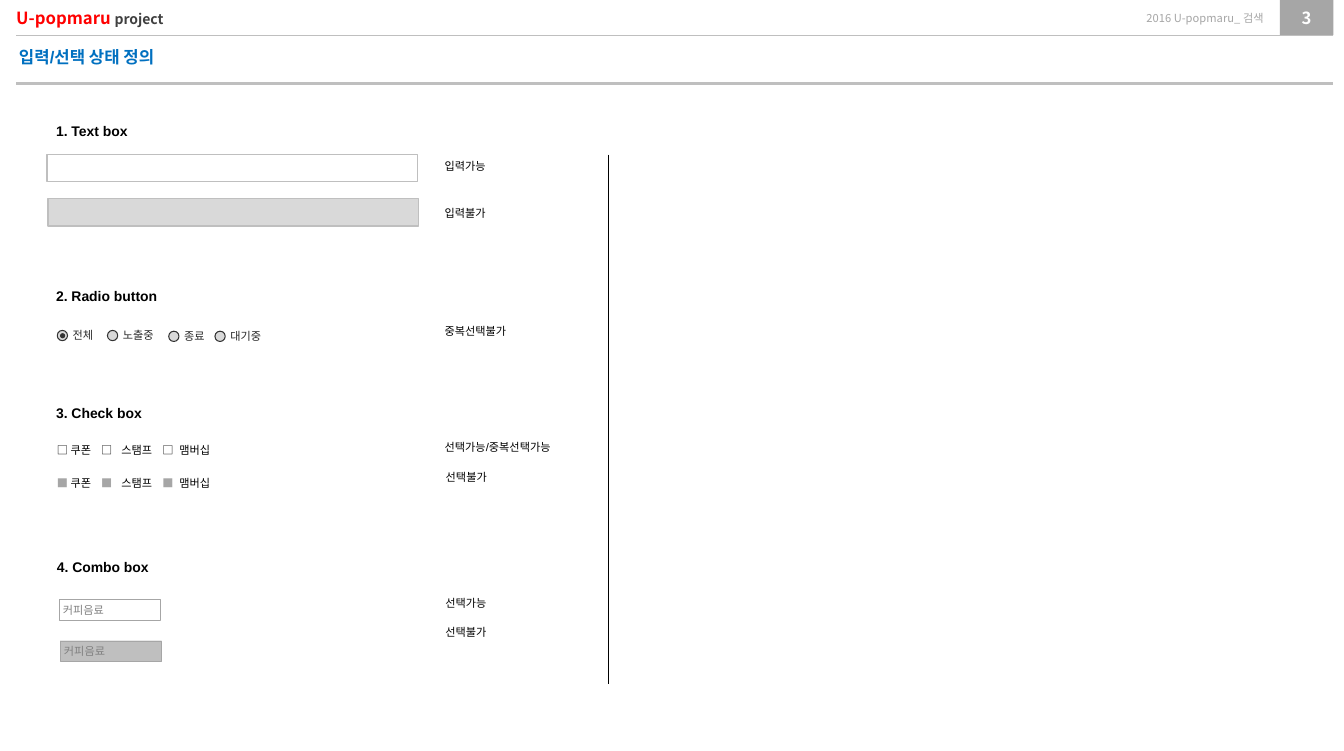
import dataclasses

import pptx
import pptx.dml.color
import pptx.enum.shapes
import pptx.enum.text
import pptx.util
from lxml import etree

Cm = pptx.util.Cm
Pt = pptx.util.Pt
SHAPES = pptx.enum.shapes.MSO_SHAPE
ALIGN = pptx.enum.text.PP_ALIGN
ANCHOR = pptx.enum.text.MSO_ANCHOR
NAMESPACE = "{http://schemas.openxmlformats.org/drawingml/2006/main}"
KOREAN_FONT = "Noto Sans CJK KR"
COLOURS = {
    "black": "000000", "ink": "262626", "ring": "333333", "dark": "404040",
    "grey": "808080", "mid": "A6A6A6", "rule": "BFBFBF", "light": "D9D9D9",
    "white": "FFFFFF", "red": "FF0000", "blue": "0070C0",
}


@dataclasses.dataclass
class Box:
    """A region in centimetres."""
    left: float
    top: float
    width: float
    height: float

    def inner(self, left, top, width, height):
        return Box(self.left + left, self.top + top, width, height)

    def lengths(self):
        return [Cm(value) for value in dataclasses.astuple(self)]


def colour(name):
    return pptx.dml.color.RGBColor.from_string(COLOURS[name])


def format_run(run, size, colour_name, bold=False, font="Arial"):
    run.font.size = Pt(size)
    run.font.bold = bold
    run.font.color.rgb = colour(colour_name)
    run.font.name = font
    etree.SubElement(run.font._element, NAMESPACE + "ea", typeface=KOREAN_FONT)


def set_frame(frame, insets=(0.25, 0.13, 0.25, 0.13), anchor=ANCHOR.TOP, wrap=True):
    frame.margin_left, frame.margin_top, frame.margin_right, frame.margin_bottom = map(Cm, insets)
    frame.vertical_anchor = anchor
    frame.word_wrap = wrap


def add_text(slide, box, parts, align=ALIGN.LEFT, **frame_options):
    """Add a text box; each part is (text, size, colour[, bold[, font]])."""
    frame = slide.shapes.add_textbox(*box.lengths()).text_frame
    set_frame(frame, **frame_options)
    paragraph = frame.paragraphs[0]
    paragraph.alignment = align
    for text, *style in parts:
        run = paragraph.add_run()
        run.text = text
        format_run(run, *style)
    return paragraph


def add_block(slide, box, fill=None, line=None, line_width=1, kind=SHAPES.RECTANGLE):
    shape = slide.shapes.add_shape(kind, *box.lengths())
    shape.shadow.inherit = False
    if fill:
        shape.fill.solid()
        shape.fill.fore_color.rgb = colour(fill)
    else:
        shape.fill.background()
    if line:
        shape.line.color.rgb = colour(line)
        shape.line.width = Pt(line_width)
    else:
        shape.line.fill.background()
    return shape


def add_line(slide, start, end, colour_name, width):
    line = slide.shapes.add_connector(
        pptx.enum.shapes.MSO_CONNECTOR.STRAIGHT, *map(Cm, start + end))
    line.line.color.rgb = colour(colour_name)
    line.line.width = Pt(width)
    etree.SubElement(line._element.spPr, NAMESPACE + "effectLst")


def add_heading(slide, box, text):
    add_text(slide, box.inner(0, 0, 5.59, 0.69), [(text, 10, "black", True)])


def add_note(slide, box, text, top, shift=0):
    add_text(slide, box.inner(9.83 + shift, top, 3.61, 0.61), [(text, 8, "black")])


def draw_header(slide, box):
    flush = {"insets": (0, 0, 0, 0), "anchor": ANCHOR.MIDDLE}
    bar = 0.89
    # Project name, document name and page number
    page = box.inner(box.width - 1.62, 0, 1.35, bar)
    add_block(slide, page, "mid")
    for top, width in ((2.11, 2.25), (0.9, 0.25)):
        add_line(slide, (box.left, box.top + top), (box.left + 33.32, box.top + top), "rule", width)
    add_text(slide, page, [("3", 12, "white", True, KOREAN_FONT)], ALIGN.CENTER, **flush)
    add_text(slide, box.inner(25.8, 0, 5.77, bar),
             [("2016 U-popmaru_ 검색", 8, "mid", False, KOREAN_FONT)], ALIGN.RIGHT, **flush)
    add_text(slide, box.inner(0, 0, 5.21, bar),
             [("U-popmaru ", 12, "red", True, KOREAN_FONT),
              ("project", 10, "dark", True, KOREAN_FONT)], **flush)
    # Slide title
    title = slide.shapes.title
    title.left, title.top, title.width, title.height = box.inner(-0.23, 0.99, 16.61, 0.91).lengths()
    frame = title.text_frame
    frame.text = "입력/선택 상태 정의"
    set_frame(frame, (0.3, 0.15, 0.3, 0.15), ANCHOR.MIDDLE)
    frame.auto_size = pptx.enum.text.MSO_AUTO_SIZE.NONE
    frame.paragraphs[0].alignment = ALIGN.LEFT
    format_run(frame.paragraphs[0].runs[0], 12, "blue", True)


def draw_text_boxes(slide, box):
    add_heading(slide, box, "1. Text box")
    for left, top, fill, note, note_top in ((0.02, 0.94, "white", "입력가능", 0.94),
                                            (0.05, 2.06, "light", "입력불가", 2.11)):
        add_block(slide, box.inner(left, top, 9.37, 0.69), fill, "rule")
        add_note(slide, box, note, note_top)


def draw_radio_buttons(slide, box):
    add_heading(slide, box, "2. Radio button")
    add_note(slide, box, "중복선택불가", 0.94)
    size = 0.26
    for left, top, label in ((0.28, 1.22, "전체"), (1.55, 1.22, "노출중"),
                             (3.1, 1.24, "종료"), (4.27, 1.24, "대기중")):
        ring = box.inner(left, top, size, size)
        add_block(slide, ring, "light", "ring", 0.75, SHAPES.OVAL)
        add_text(slide, ring.inner(size, -0.08, 1, 0.41), [(label, 8, "ink")],
                 insets=(0.13, 0.03, 0.03, 0.03), anchor=ANCHOR.MIDDLE, wrap=False)
    # Dot of the selected button
    add_block(slide, box.inner(0.35, 1.29, 0.13, 0.13), "ring", kind=SHAPES.OVAL)


def draw_check_boxes(slide, box):
    add_heading(slide, box, "3. Check box")
    for mark, mark_colour, top, note, note_top, shift in (
            ("□", "black", 0.99, "선택가능/중복선택가능", 0.91, 0),
            ("■", "mid", 1.8, "선택불가", 1.65, 0.03)):
        parts = []
        for label, before, after in (("쿠폰", " ", "\t"), ("스탬프", "\t", "\t"),
                                     ("맴버십", "\t", "")):
            parts += [(mark, 8, mark_colour), (before + label + after, 8, "black")]
        paragraph = add_text(slide, box.inner(0.02, top, 8.26, 0.61), parts)
        properties = paragraph._p.get_or_add_pPr()
        stops = etree.SubElement(properties, NAMESPACE + "tabLst")
        for position in (1.12, 1.63, 2.67, 3.1):
            etree.SubElement(stops, NAMESPACE + "tab", pos=str(Cm(position)), algn="l")
        add_note(slide, box, note, note_top, shift)


def draw_combo_boxes(slide, box):
    add_heading(slide, box, "4. Combo box")
    for left, top, fill, note, note_top in ((0.3, 1.17, None, "선택가능", 0.97),
                                            (0.33, 2.21, "rule", "선택불가", 1.68)):
        field = add_block(slide, box.inner(left, top, 2.57, 0.51), fill, "mid", 0.1)
        frame = field.text_frame
        frame.text = "커피음료"
        set_frame(frame, (0.1, 0, 0.1, 0), ANCHOR.MIDDLE)
        frame.paragraphs[0].alignment = ALIGN.LEFT
        format_run(frame.paragraphs[0].runs[0], 8, "grey")
        add_note(slide, box, note, note_top)


def main():
    presentation = pptx.Presentation()
    presentation.slide_width = Cm(34.01)
    presentation.slide_height = Cm(19)
    slide = presentation.slides.add_slide(presentation.slide_layouts.get_by_name("Title Only"))

    draw_header(slide, Box(0.41, 0, 33.6, 2.11))
    draw_text_boxes(slide, Box(1.17, 2.97, 13.5, 2.8))
    draw_radio_buttons(slide, Box(1.17, 7.14, 13.5, 1.6))
    draw_check_boxes(slide, Box(1.17, 10.11, 13.5, 2.4))
    draw_combo_boxes(slide, Box(1.19, 14, 13.5, 2.8))
    # Divider to the right of the definitions
    add_line(slide, (15.39, 3.91), (15.39, 17.3), "black", 0.75)

    presentation.save("out.pptx")


if __name__ == "__main__":
    main()
